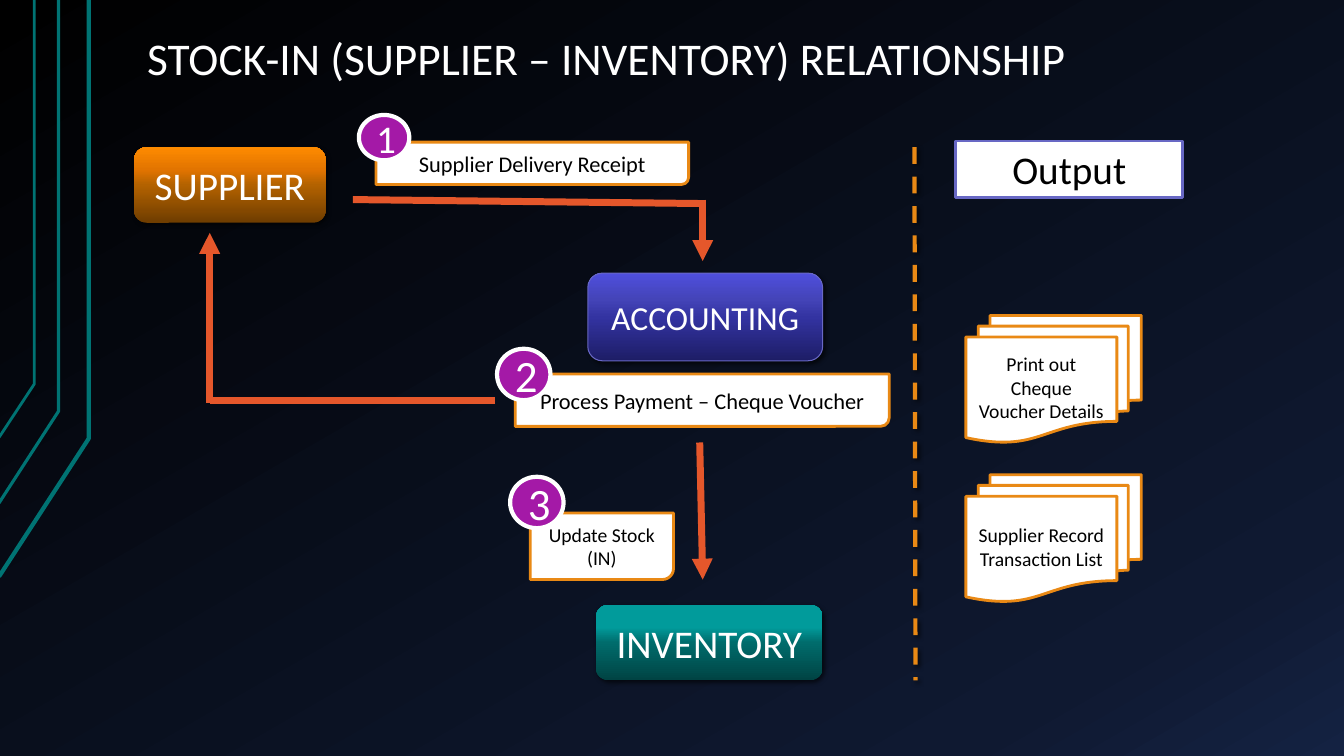
from lxml.etree import SubElement
from pptx import Presentation
from pptx.dml.color import RGBColor
from pptx.enum.dml import MSO_LINE
from pptx.enum.shapes import MSO_CONNECTOR, MSO_SHAPE as SHAPE
from pptx.enum.text import MSO_ANCHOR as ANCHOR, PP_ALIGN as ALIGN
from pptx.oxml.ns import qn
from pptx.util import Inches, Pt

COLORS = {
    "white": "FFFFFF", "black": "000000", "teal": "007373",
    "arrow": "E5572B", "orange": "E98915", "violet": "6868C4", "purple": "A419A7",
}
RGB = {name: RGBColor.from_string(value) for name, value in COLORS.items()}
GRADIENTS = {
    "background": {0: "000000", 85: "0F1931", 100: "142242"},
    "supplier": {0: "6F3D00", 50: "B36200", 70: "E27400", 100: "FE8B00"},
    "inventory": {0: "004343", 50: "006C6C", 70: "019B9B", 100: "009999"},
    "accounting": {0: "1D1D66", 50: "3333A1", 70: "4444B8", 100: "4F4FDD"},
}


def write(shape, text, size, color="black", align=ALIGN.CENTER, anchor=ANCHOR.MIDDLE,
          spacing=1.0):
    frame = shape.text_frame
    frame.text = text
    frame.word_wrap = True
    frame.vertical_anchor = anchor
    for paragraph in frame.paragraphs:
        paragraph.alignment = align
        paragraph.line_spacing = spacing
        paragraph.font.size = Pt(size)
        paragraph.font.name = "Calibri"
        paragraph.font.color.rgb = RGB[color]


def set_gradient(fill, element, name, angle):
    fill.gradient()
    gradient = next(element.iter(qn("a:gradFill")))
    gradient.find(qn("a:lin")).set("ang", str(angle * 60000))
    stops = gradient.find(qn("a:gsLst"))
    for stop in list(stops):
        stops.remove(stop)
    for position, value in GRADIENTS[name].items():
        stop = SubElement(stops, qn("a:gs"), pos=str(position * 1000))
        SubElement(stop, qn("a:srgbClr"), val=value)


presentation = Presentation()
presentation.slide_width, presentation.slide_height = Inches(13.33), Inches(7.5)
slide = presentation.slides.add_slide(presentation.slide_layouts[5])
shapes = slide.shapes
set_gradient(slide.background.fill, slide._element, "background", 60)

# Teal lines at the left edge
for bottom, x, bend, width in [(5.72, 0.88, 4.35, 3), (4.99, 0.58, 4.08, 2.25),
                               (4.34, 0.34, 3.81, 2)]:
    builder = shapes.build_freeform(Inches(-0.01), Inches(bottom))
    builder.add_line_segments([(Inches(x), Inches(bend)), (Inches(x), 0)], close=False)
    edge = builder.convert_to_shape()
    edge.fill.background()
    edge.line.color.rgb = RGB["teal"]
    edge.line.width = Pt(width)
    edge.shadow.inherit = False

# Title
title = shapes.title
title.left, title.top, title.width, title.height = map(Inches, (1.33, 0.3, 11.33, 0.62))
write(title, "STOCK-IN (SUPPLIER – INVENTORY) RELATIONSHIP", 32.4, "white",
      align=ALIGN.LEFT, anchor=ANCHOR.BOTTOM, spacing=0.9)
frame = title.text_frame
frame.margin_left = frame.margin_right = Inches(0.13)
frame.margin_top = frame.margin_bottom = Inches(0.07)

# Departments
shadowed = []
for name, size, box in [("supplier", 28, (1.33, 1.46, 1.9, 0.75)),
                        ("inventory", 28, (5.91, 6, 2.25, 0.75)),
                        ("accounting", 24, (5.83, 2.71, 2.33, 0.87))]:
    department = shapes.add_shape(SHAPE.ROUNDED_RECTANGLE, *map(Inches, box))
    set_gradient(department.fill, department._element, name, 270)
    if name == "accounting":
        department.line.color.rgb = RGB["violet"]
        department.line.width = Pt(0.75)
    else:
        department.line.fill.background()
    department.shadow.inherit = False
    write(department, name.upper(), size, "white")
    shadowed.append(department)

# Flow arrows and the dashed divider
for ends, has_head, is_divider in [
    ((3.5, 1.98, 7, 2.02), False, False),
    ((6.97, 1.98, 6.97, 2.59), True, False),
    ((4.91, 3.97, 2.08, 3.97), False, False),
    ((2.08, 4, 2.08, 2.31), True, False),
    ((6.94, 4.39, 6.97, 5.75), True, False),
    ((9.07, 1.46, 9.08, 6.75), False, True),
]:
    connector = shapes.add_connector(MSO_CONNECTOR.STRAIGHT, *map(Inches, ends))
    connector.line.color.rgb = RGB["orange" if is_divider else "arrow"]
    connector.line.width = Pt(3 if is_divider else 5)
    if is_divider:
        connector.line.dash_style = MSO_LINE.DASH
        shadowed.append(connector)
    if has_head:
        SubElement(connector.line._get_or_add_ln(), qn("a:tailEnd"), type="triangle")
    SubElement(connector._element.spPr, qn("a:effectLst"))

# Soft shadows
for shape in shadowed:
    effects = shape._element.spPr.find(qn("a:effectLst"))
    shadow = SubElement(effects, qn("a:outerShdw"), blurRad=str(Pt(3)), dist=str(Pt(2)),
                        dir=str(45 * 60000), algn="tl", rotWithShape="0")
    color = SubElement(shadow, qn("a:srgbClr"), val=COLORS["black"])
    SubElement(color, qn("a:alpha"), val="60000")

# Step labels, outputs and step numbers
STEP, DOCUMENT = SHAPE.ROUND_2_DIAG_RECTANGLE, SHAPE.FLOWCHART_MULTIDOCUMENT
label = ("white", "orange", 2, "black")
heading = ("white", "violet", 2, "black")
number = ("purple", "white", 3, "white")
for kind, box, text, size, (fill, line, width, ink) in [
    (STEP, (5.26, 5.09, 1.42, 0.66), "Update Stock\n(IN)", 14, label),
    (STEP, (5.11, 3.71, 3.71, 0.52), "Process Payment – Cheque Voucher", 16, label),
    (STEP, (3.73, 1.41, 3.1, 0.42), "Supplier Delivery Receipt", 16, label),
    (DOCUMENT, (9.58, 3.13, 1.74, 1.26), "Print out Cheque Voucher Details", 14, label),
    (DOCUMENT, (9.58, 4.71, 1.74, 1.26), "Supplier Record Transaction List", 14, label),
    (SHAPE.RECTANGLE, (9.48, 1.4, 2.25, 0.56), "Output", 28, heading),
    (SHAPE.OVAL, (3.56, 1.14, 0.5, 0.45), "1", 28, number),
    (SHAPE.OVAL, (4.93, 3.46, 0.53, 0.51), "2", 32, number),
    (SHAPE.OVAL, (5.06, 4.73, 0.53, 0.51), "3", 32, number),
]:
    shape = shapes.add_shape(kind, *map(Inches, box))
    shape.fill.solid()
    shape.fill.fore_color.rgb = RGB[fill]
    shape.line.color.rgb = RGB[line]
    shape.line.width = Pt(width)
    shape.shadow.inherit = False
    write(shape, text, size, ink)

presentation.save("out.pptx")
